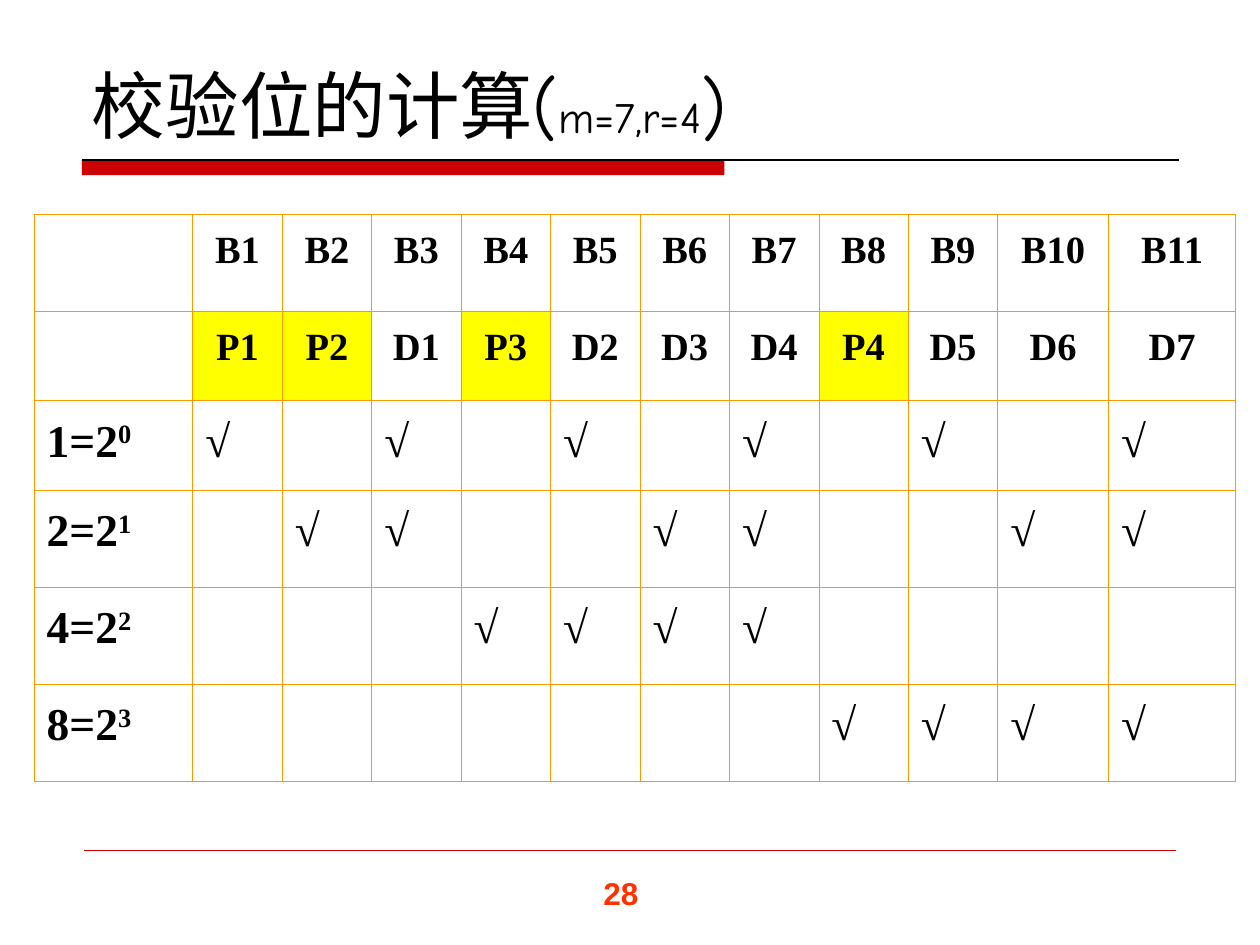
from lxml.etree import SubElement
from pptx import Presentation
from pptx.dml.color import RGBColor
from pptx.enum.shapes import MSO_CONNECTOR, MSO_SHAPE
from pptx.enum.text import MSO_ANCHOR, MSO_AUTO_SIZE, PP_ALIGN
from pptx.oxml import parse_xml
from pptx.oxml.ns import nsdecls, qn
from pptx.util import Inches, Pt

BLACK = RGBColor(0x00, 0x00, 0x00)
RED = RGBColor(0xCC, 0x00, 0x00)
ORANGE_RED = RGBColor(0xFF, 0x33, 0x00)
ORANGE = RGBColor(0xFF, 0x99, 0x00)
YELLOW = RGBColor(0xFF, 0xFF, 0x00)

CODE_LENGTH = 11
CHECK_BITS = [1, 2, 4, 8]
COLUMN_WIDTHS = [1.26] + [0.71] * 9 + [0.88, 1.01]
ROW_HEIGHTS = [0.77, 0.71, 0.71, 0.77, 0.77, 0.77]


def format_run(run, size, font_name, color=BLACK, bold=False):
    run.font.size = Pt(size)
    run.font.name = font_name
    run.font.color.rgb = color
    run.font.bold = bold


def add_runs(paragraph, parts, font_name, bold=False):
    """Add (text, size) parts and return their runs."""
    runs = []
    for text, size in parts:
        run = paragraph.add_run()
        run.text = text
        format_run(run, size, font_name, bold=bold)
        runs.append(run)
    return runs


def add_title(slide):
    title = slide.shapes.title
    title.left, title.top = Inches(0.63), Inches(0.33)
    title.width, title.height = Inches(8.75), Inches(0.9)
    text_frame = title.text_frame
    text_frame.auto_size = MSO_AUTO_SIZE.NONE
    text_frame.vertical_anchor = MSO_ANCHOR.BOTTOM
    paragraph = text_frame.paragraphs[0]
    paragraph.alignment = PP_ALIGN.LEFT
    add_runs(paragraph, [("校验位的计算(", 42), ("m=7,r=4", 25), (")", 42)], "Comic Neue")


def add_rule(slide, left, right, top, color, width):
    """Draw a thin horizontal line."""
    line = slide.shapes.add_connector(
        MSO_CONNECTOR.STRAIGHT, Inches(left), Inches(top), Inches(right), Inches(top))
    line.line.color.rgb = color
    line.line.width = Pt(width)
    SubElement(line._element.spPr, qn("a:effectLst"))


def add_title_bar(slide):
    bar = slide.shapes.add_shape(
        MSO_SHAPE.RECTANGLE, Inches(0.65), Inches(1.27), Inches(5.1), Inches(0.12))
    bar.shadow.inherit = False
    bar.fill.solid()
    bar.fill.fore_color.rgb = RED
    bar.line.fill.background()


def add_page_number(slide):
    box = slide.shapes.add_textbox(Inches(4.69), Inches(6.89), Inches(0.75), Inches(0.4))
    box.text_frame.word_wrap = True
    box.text_frame.text = "28"
    format_run(box.text_frame.paragraphs[0].runs[0], 18, "Arial", ORANGE_RED, bold=True)


def set_cell_borders(cell):
    properties = cell._tc.get_or_add_tcPr()
    for index, side in enumerate(("lnL", "lnR", "lnT", "lnB")):
        properties.insert(index, parse_xml(
            f'<a:{side} {nsdecls("a")} w="{Pt(0.45)}"><a:solidFill>'
            f'<a:srgbClr val="{ORANGE}"/></a:solidFill></a:{side}>'))


def write_cell(cell, parts, alignment=PP_ALIGN.LEFT, bold=True):
    paragraph = cell.text_frame.paragraphs[0]
    paragraph.alignment = alignment
    paragraph.line_spacing = 1.2
    return add_runs(paragraph, parts, "Times New Roman", bold)


def fill_headings(table):
    """Name each code position and the check or data bit it holds."""
    counts = {"P": 0, "D": 0}
    for position in range(1, CODE_LENGTH + 1):
        kind = "P" if position in CHECK_BITS else "D"
        counts[kind] += 1
        write_cell(table.cell(0, position), [(f"B{position}", 22)], PP_ALIGN.CENTER)
        bit_cell = table.cell(1, position)
        write_cell(bit_cell, [(f"{kind}{counts[kind]}", 22)], PP_ALIGN.CENTER)
        if kind == "P":
            bit_cell.fill.solid()
            bit_cell.fill.fore_color.rgb = YELLOW


def fill_check_rows(table):
    """Tick every position whose binary form contains the check bit."""
    for exponent, check_bit in enumerate(CHECK_BITS):
        row = exponent + 2
        runs = write_cell(table.cell(row, 0), [(f"{check_bit}=2", 26), (str(exponent), 26)])
        runs[1].font._element.set("baseline", "30000")
        for position in range(1, CODE_LENGTH + 1):
            if position & check_bit:
                write_cell(table.cell(row, position), [("√", 26)])


def add_check_table(slide):
    table = slide.shapes.add_table(
        len(ROW_HEIGHTS), len(COLUMN_WIDTHS), Inches(0.27), Inches(1.7),
        Inches(sum(COLUMN_WIDTHS)), Inches(sum(ROW_HEIGHTS))).table
    table.first_row = False
    table.horz_banding = False
    for column, width in zip(table.columns, COLUMN_WIDTHS):
        column.width = Inches(width)
    for row, height in zip(table.rows, ROW_HEIGHTS):
        row.height = Inches(height)
    for cell in table.iter_cells():
        cell.fill.background()
    fill_headings(table)
    fill_check_rows(table)
    for cell in table.iter_cells():
        set_cell_borders(cell)


def main():
    presentation = Presentation()
    presentation.slide_width, presentation.slide_height = Inches(10), Inches(7.5)
    slide = presentation.slides.add_slide(presentation.slide_layouts[5])
    add_title_bar(slide)
    add_rule(slide, 0.65, 9.36, 1.27, BLACK, 0.75)
    add_rule(slide, 0.67, 9.33, 6.75, RED, 0.25)
    add_page_number(slide)
    add_title(slide)
    add_check_table(slide)
    presentation.save("out.pptx")


if __name__ == "__main__":
    main()
